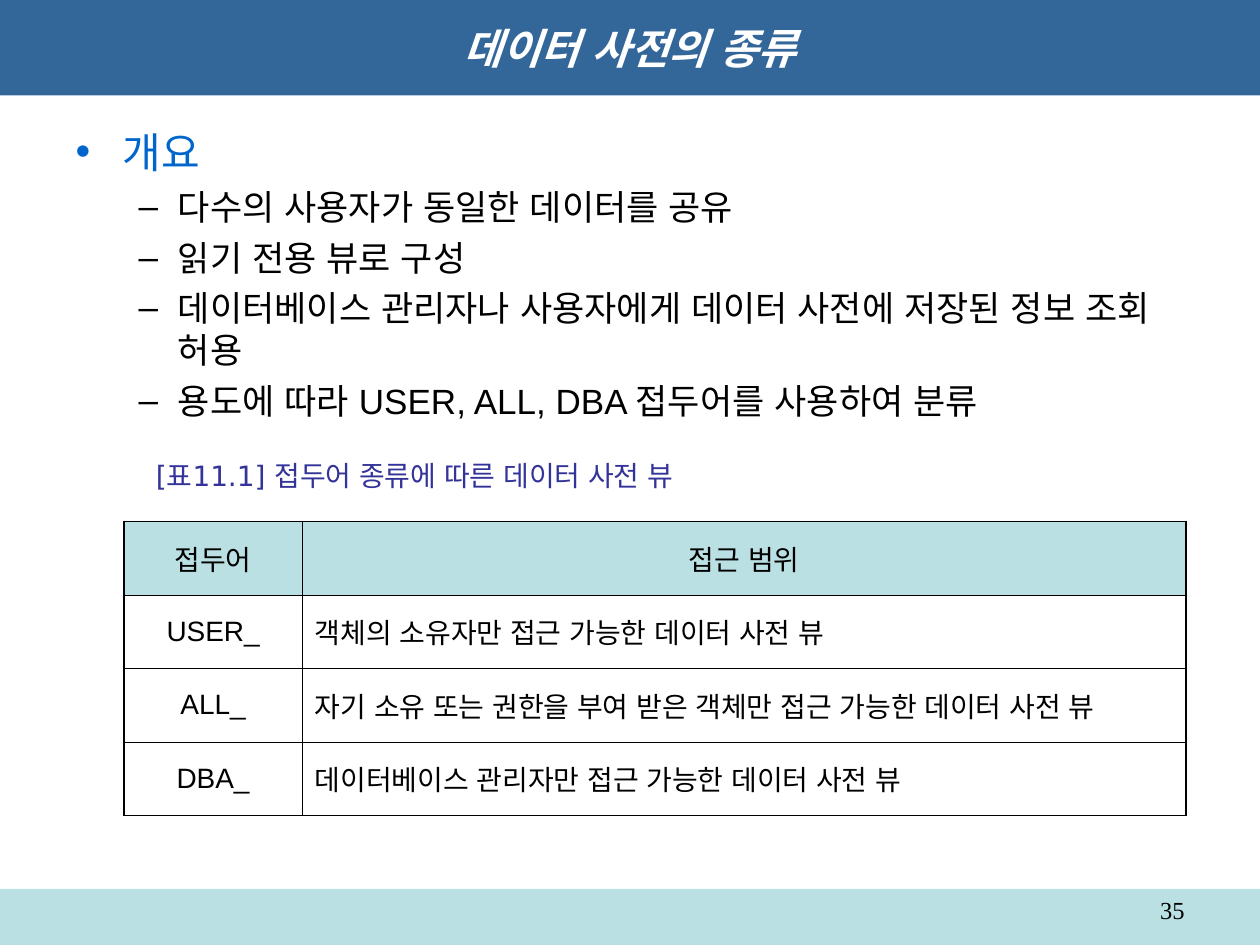
from pptx import Presentation
from pptx.dml.color import RGBColor
from pptx.enum.lang import MSO_LANGUAGE_ID
from pptx.enum.shapes import MSO_SHAPE
from pptx.enum.text import MSO_ANCHOR, MSO_AUTO_SIZE, PP_ALIGN
from pptx.oxml.ns import qn
from pptx.util import Pt
from lxml.etree import SubElement

COLORS = {"title": "336699", "pale": "BBE0E3", "white": "FFFFFF",
          "black": "000000", "blue": "0066CC", "caption": "333399"}

TITLE = "데이터 사전의 종류"
OUTLINE = [
    (0, "개요"),
    (1, "다수의 사용자가 동일한 데이터를 공유"),
    (1, "읽기 전용 뷰로 구성"),
    (1, "데이터베이스 관리자나 사용자에게 데이터 사전에 저장된 정보 조회 허용"),
    (1, "용도에 따라 USER, ALL, DBA 접두어를 사용하여 분류"),
]
# Per level: size, colour, space before, bullet, left margin, hanging indent
LEVELS = [(24, "blue", 6, "•", 27, 27), (20, "black", 5, "–", 58.5, 22.5)]
CAPTION = "[표11.1] 접두어 종류에 따른 데이터 사전 뷰"
ROWS = [
    ("접두어", "접근 범위"),
    ("USER_", "객체의 소유자만 접근 가능한 데이터 사전 뷰"),
    ("ALL_", "자기 소유 또는 권한을 부여 받은 객체만 접근 가능한 데이터 사전 뷰"),
    ("DBA_", "데이터베이스 관리자만 접근 가능한 데이터 사전 뷰"),
]
COL_WIDTHS = [102, 505]
ROW_HEIGHT = 42
THICK, THIN = 1.08, 0.45
PAGE = "35"


def rgb(name):
    return RGBColor.from_string(COLORS[name])


def write(p, text, size, color="black", font="Arial", align=PP_ALIGN.LEFT,
          before=0, bold=False, italic=False):
    p.alignment = align
    p.space_before = Pt(before)
    r = p.add_run()
    r.text = text
    f = r.font
    f.size, f.name, f.bold, f.italic = Pt(size), font, bold, italic
    f.color.rgb = rgb(color)
    f.language_id = MSO_LANGUAGE_ID.KOREAN


def place(sp, left, top, width, height):
    sp.left, sp.top, sp.width, sp.height = map(Pt, (left, top, width, height))


def add_bullet(p, char, color, margin, hang):
    pPr = p._p.get_or_add_pPr()
    pPr.set("marL", str(Pt(margin)))
    pPr.set("indent", str(-Pt(hang)))
    SubElement(SubElement(pPr, qn("a:buClr")), qn("a:srgbClr"), val=COLORS[color])
    SubElement(pPr, qn("a:buFont"), typeface="Arial")
    SubElement(pPr, qn("a:buChar"), char=char)


def add_border(cell, side, width):
    ln = SubElement(cell._tc.get_or_add_tcPr(), qn(f"a:ln{side}"), w=str(Pt(width)))
    SubElement(SubElement(ln, qn("a:solidFill")), qn("a:srgbClr"), val=COLORS["black"])


prs = Presentation()
prs.slide_width, prs.slide_height = Pt(720), Pt(540)
slide = prs.slides.add_slide(prs.slide_layouts[1])
shapes = slide.shapes

# Footer band
band = shapes.add_shape(MSO_SHAPE.RECTANGLE, Pt(0), Pt(508), Pt(720), Pt(32))
band.shadow.inherit = False
band.fill.solid()
band.fill.fore_color.rgb = rgb("pale")
band.line.fill.background()

# Title bar
title = shapes.title
place(title, 0, 0, 720, 54.5)
title.fill.solid()
title.fill.fore_color.rgb = rgb("title")
tf = title.text_frame
tf.auto_size = MSO_AUTO_SIZE.NONE
tf.vertical_anchor = MSO_ANCHOR.MIDDLE
write(tf.paragraphs[0], TITLE, 24, "white", "DejaVu Sans", PP_ALIGN.CENTER,
      bold=True, italic=True)

# Outline
body = slide.placeholders[1]
place(body, 36, 68.5, 648, 428.5)
tf = body.text_frame
tf.auto_size = MSO_AUTO_SIZE.NONE
for i, (level, text) in enumerate(OUTLINE):
    p = tf.add_paragraph() if i else tf.paragraphs[0]
    size, color, before, char, margin, hang = LEVELS[level]
    p.level = level
    write(p, text, size, color, before=before)
    add_bullet(p, char, color, margin, hang)

# Prefix table
last_row, last_col = len(ROWS) - 1, len(COL_WIDTHS) - 1
table = shapes.add_table(len(ROWS), len(COL_WIDTHS), Pt(70.75), Pt(298),
                         Pt(sum(COL_WIDTHS)), Pt(ROW_HEIGHT * len(ROWS))).table
for col, width in zip(table.columns, COL_WIDTHS):
    col.width = Pt(width)
for i, row in enumerate(ROWS):
    table.rows[i].height = Pt(ROW_HEIGHT)
    for j, text in enumerate(row):
        cell = table.cell(i, j)
        cell.vertical_anchor = MSO_ANCHOR.MIDDLE
        centred = i == 0 or j == 0
        write(cell.text_frame.paragraphs[0], text, 16, before=4,
              align=PP_ALIGN.CENTER if centred else PP_ALIGN.LEFT)
        outer = {"L": j == 0, "R": j == last_col, "T": i == 0, "B": i == last_row}
        for side, is_outer in outer.items():
            add_border(cell, side, THICK if is_outer else THIN)
        cell.fill.solid()
        cell.fill.fore_color.rgb = rgb("white" if i else "pale")

# Table caption
tf = shapes.add_textbox(Pt(82), Pt(258.5), Pt(328), Pt(26.5)).text_frame
tf.word_wrap = False
tf.vertical_anchor = MSO_ANCHOR.MIDDLE
write(tf.paragraphs[0], CAPTION, 16, "caption", "DejaVu Sans")

# Page number
tf = shapes.add_textbox(Pt(516), Pt(508), Pt(168), Pt(21)).text_frame
tf.word_wrap = True
write(tf.paragraphs[0], PAGE, 14, font="Times New Roman", align=PP_ALIGN.RIGHT)

prs.save("out.pptx")
